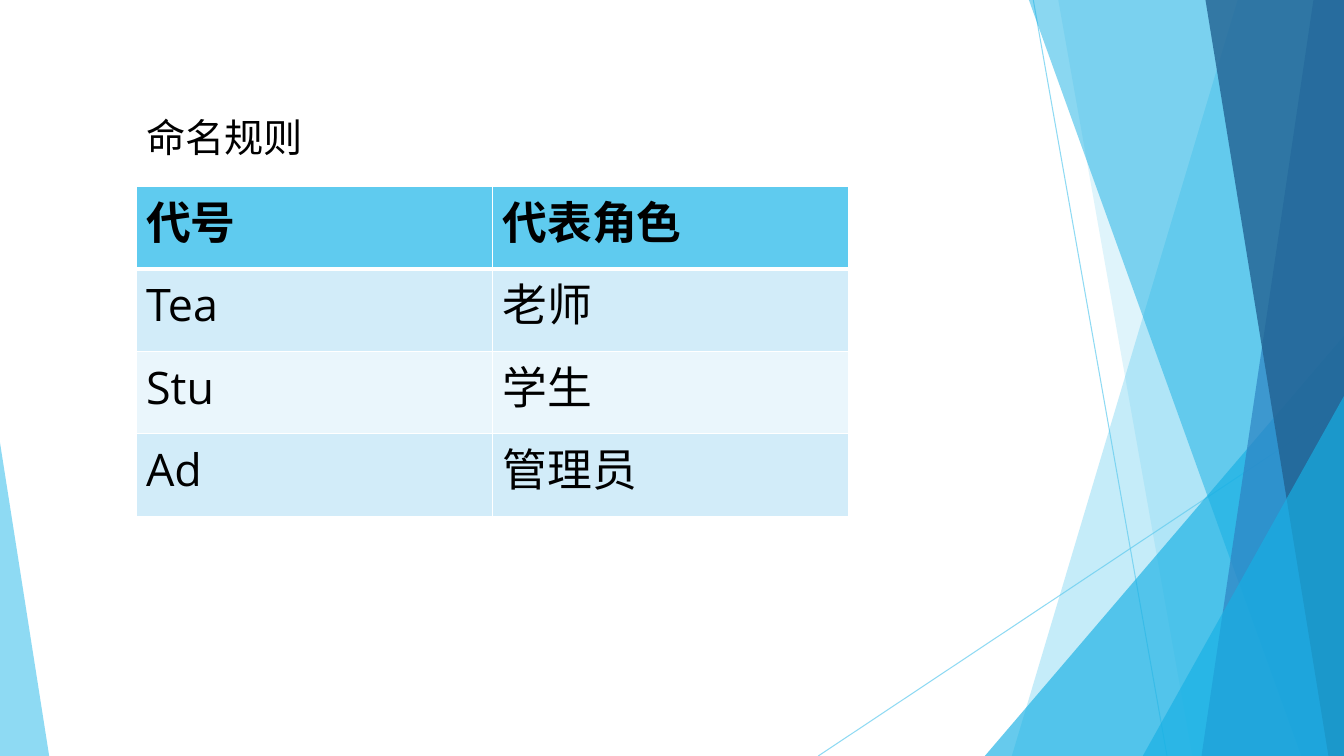
from collections import namedtuple

from lxml.etree import SubElement
from pptx import Presentation
from pptx.dml.color import RGBColor
from pptx.enum.shapes import MSO_CONNECTOR as Connector, MSO_SHAPE as Preset
from pptx.enum.text import MSO_ANCHOR as Anchor, PP_ALIGN as Align
from pptx.oxml.ns import qn
from pptx.util import Cm, Pt

Box = namedtuple("Box", "left top width height")

FONT = "Open Sans"
BLACK = RGBColor(0x00, 0x00, 0x00)
WHITE = RGBColor(0xFF, 0xFF, 0xFF)
SKY = RGBColor(0x5F, 0xCB, 0xEF)
CYAN = RGBColor(0x17, 0xB0, 0xE4)
BLUE = RGBColor(0x2E, 0x83, 0xC3)
NAVY = RGBColor(0x22, 0x62, 0x92)
PALE = RGBColor(0xD2, 0xEC, 0xF9)
PALER = RGBColor(0xEA, 0xF6, 0xFC)

ROLES = [("代号", "代表角色"), ("Tea", "老师"), ("Stu", "学生"), ("Ad", "管理员")]


def set_alpha(parent, percent):
    """Make the solid colour below an element partly transparent."""
    color = next(parent.iter(qn("a:srgbClr")))
    SubElement(color, qn("a:alpha")).set("val", str(percent * 1000))


def paint(shape, color, percent):
    """Give a shape a translucent fill without outline or shadow."""
    shape.shadow.inherit = False
    shape.fill.solid()
    shape.fill.fore_color.rgb = color
    shape.line.fill.background()
    set_alpha(shape.fill._xPr.find(qn("a:solidFill")), percent)


def add_ray(page, box, start, end):
    """Draw a thin translucent line between two points of the box."""
    x1, y1, x2, y2 = (Cm(value) for value in (
        box.left + start[0], box.top + start[1], box.left + end[0], box.top + end[1]))
    ray = page.shapes.add_connector(Connector.STRAIGHT, x1, y1, x2, y2)
    ray.line.color.rgb = SKY
    ray.line.width = Pt(0.75)
    properties = ray._element.spPr
    set_alpha(properties, 70)
    SubElement(properties, qn("a:effectLst"))


def add_band(page, box, top_x, bottom_x, color, percent):
    """Fill the box to the right of a slanted edge."""
    left, right = Cm(box.left), Cm(box.left + box.width)
    top, bottom = Cm(box.top), Cm(box.top + box.height)
    outline = page.shapes.build_freeform(left + Cm(top_x), top)
    outline.add_line_segments([(right, top), (right, bottom), (left + Cm(bottom_x), bottom)])
    paint(outline.convert_to_shape(), color, percent)


def add_wedge(page, box, apex, color, percent):
    """Fill the box with a right triangle whose apex is at a side."""
    wedge = page.shapes.add_shape(Preset.ISOSCELES_TRIANGLE, *(Cm(value) for value in box))
    wedge.adjustments[0] = apex
    paint(wedge, color, percent)


def add_corner_wedge(page, box, left, top, color):
    """Add a wedge that reaches the lower right corner of the box."""
    corner = Box(box.left + left, box.top + top, box.width - left, box.height - top)
    add_wedge(page, corner, 1, color, 66)


def add_facets(page, box):
    """Build the layered facets along the edges of the page."""
    add_ray(page, box, (26.04, 0), (29.41, box.height))
    add_ray(page, box, (box.width, 10.24), (20.62, box.height))
    add_band(page, box, 31.19, 25.5, SKY, 36)
    add_band(page, box, 26.67, 30.05, SKY, 20)
    add_corner_wedge(page, box, 24.82, 8.46, CYAN)
    add_band(page, box, 25.93, 32.79, CYAN, 50)
    add_band(page, box, 33.1, 30.28, BLUE, 70)
    add_band(page, box, 30.38, 33.48, NAVY, 80)
    add_corner_wedge(page, box, 28.8, 9.98, CYAN)
    add_wedge(page, Box(box.left, box.top + 11.15, 1.24, box.height - 11.15), 0, SKY, 70)


def add_text(frame, text, size, bold=False):
    """Write one left-aligned run into a text frame."""
    para = frame.paragraphs[0]
    para.alignment = Align.LEFT
    span = para.add_run()
    span.text = text
    span.font.name = FONT
    span.font.size = Pt(size)
    span.font.bold = bold
    span.font.color.rgb = BLACK
    SubElement(span.font._element, qn("a:ea")).set("typeface", FONT)


def add_title(page, box, text):
    """Move the title placeholder to the box and write the heading."""
    title = page.shapes.title
    title.left, title.top, title.width, title.height = (Cm(value) for value in box)
    title.text_frame.vertical_anchor = Anchor.TOP
    add_text(title.text_frame, text, 28)


def add_borders(cell, bottom):
    """Frame a cell in white with the given bottom width in points."""
    properties = cell._tc.get_or_add_tcPr()
    for index, (side, width) in enumerate([("L", 1), ("R", 1), ("T", 1), ("B", bottom)]):
        line = SubElement(properties, qn(f"a:ln{side}"), w=str(Pt(width)))
        fill = SubElement(line, qn("a:solidFill"))
        SubElement(fill, qn("a:srgbClr"), val=str(WHITE))
        properties.insert(index, line)


def add_role_table(page, box, rows):
    """Build the table of codes and roles with a header and banded rows."""
    frame = page.shapes.add_table(len(rows), len(rows[0]), *(Cm(value) for value in box))
    for row_index, row in enumerate(rows):
        header = row_index == 0
        color = SKY if header else PALE if row_index % 2 else PALER
        for column_index, text in enumerate(row):
            cell = frame.table.cell(row_index, column_index)
            cell.fill.solid()
            cell.fill.fore_color.rgb = color
            add_borders(cell, 3 if header else 1)
            add_text(cell.text_frame, text, 32, header)


def build_deck():
    """Create the deck with its naming rules page."""
    deck = Presentation()
    deck.slide_width, deck.slide_height = Cm(33.87), Cm(19.05)
    page = deck.slides.add_slide(deck.slide_layouts[5])
    add_facets(page, Box(0, 0, 33.87, 19.05))
    add_role_table(page, Box(3.43, 4.7, 17.96, 8.31), ROLES)
    add_title(page, Box(3.43, 2.74, 5.49, 1.45), "命名规则")
    return deck


build_deck().save("out.pptx")
